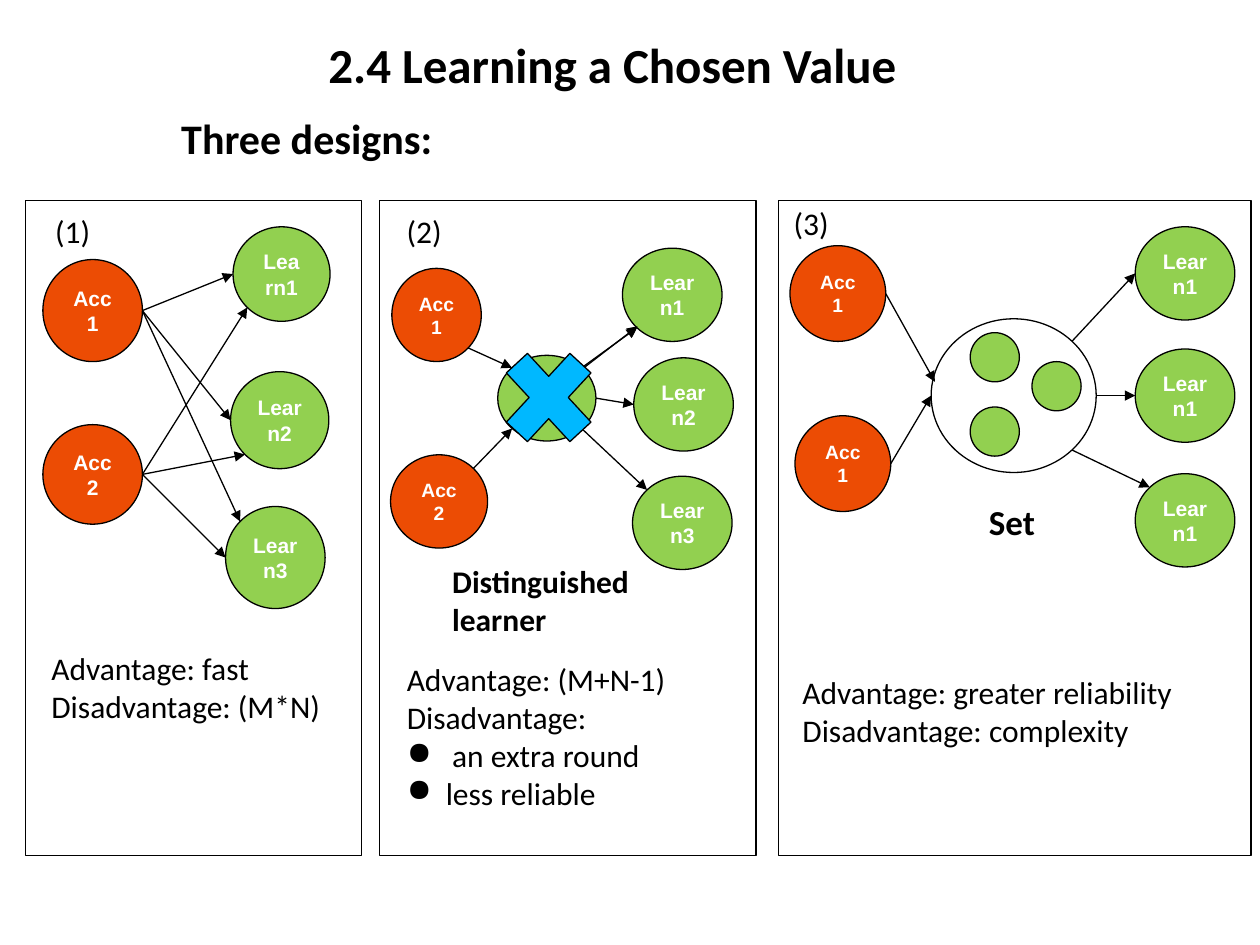
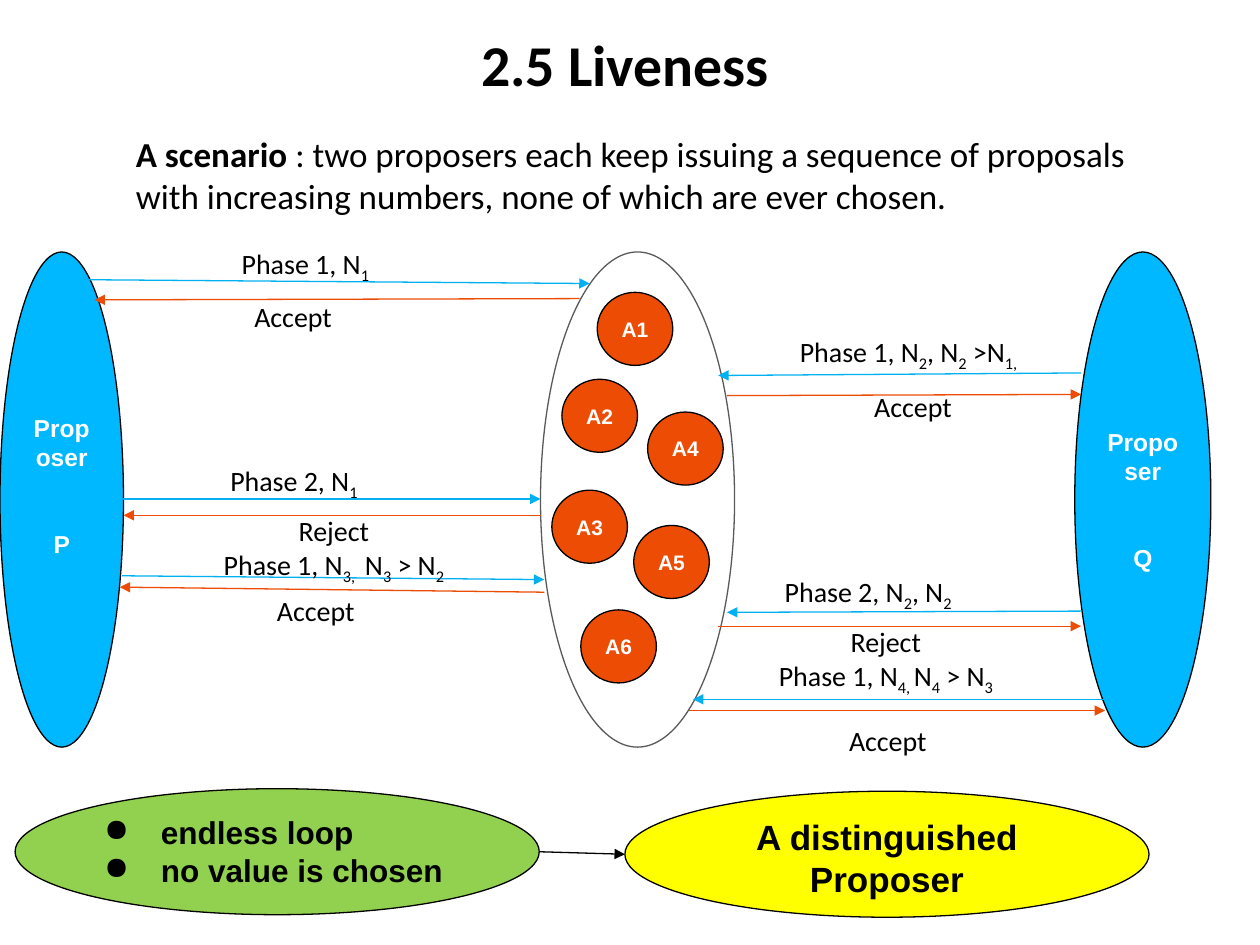
"""Build two slides on Paxos: learning a chosen value, and liveness."""
from lxml import etree
from pptx import Presentation
from pptx.dml.color import RGBColor
from pptx.enum import shapes, text
from pptx.oxml import ns
from pptx.util import Inches, Pt

COLORS = {"acceptor": "EC4C04", "learner": "92D050", "proposer": "00B8FF", "request": "00B0F0",
          "reply": "EC4C04", "remedy": "FFFF00", "ink": "000000", "white": "FFFFFF", "grey": "595959"}
BODY_FONT, NODE_FONT = "Calibri", "Arial"
LEFT, CENTER = text.PP_ALIGN.LEFT, text.PP_ALIGN.CENTER

LEARNING_TITLE = ("2.4 Learning a Chosen Value", 28, (2.2, 0.22, 5.32, 0.57))
PANEL_TOP, PANEL_HEIGHT = 1.59, 5.2
PANELS = [(0.2, 2.67), (3.01, 2.99), (6.18, 3.75)]
DESIGN_NODES = {
    "1 acc1": ("Acc 1", "acceptor", 12, (0.34, 2.06, 0.79, 0.81)),
    "1 acc2": ("Acc 2", "acceptor", 12, (0.34, 3.37, 0.79, 0.79)),
    "1 learn1": ("Learn1", "learner", 12, (1.85, 1.8, 0.77, 0.75)),
    "1 learn2": ("Learn2", "learner", 12, (1.83, 2.95, 0.78, 0.77)),
    "1 learn3": ("Learn3", "learner", 12, (1.79, 4.02, 0.79, 0.81)),
    "2 acc1": ("Acc1", "acceptor", 11, (3.11, 2.13, 0.71, 0.74)),
    "2 acc2": ("Acc2", "acceptor", 11, (3.1, 3.61, 0.77, 0.74)),
    "2 hub": ("", "learner", 12, (3.95, 2.82, 0.78, 0.68)),
    "2 learn1": ("Learn1", "learner", 12, (4.94, 1.97, 0.79, 0.74)),
    "2 learn2": ("Learn2", "learner", 12, (5.03, 2.84, 0.79, 0.74)),
    "2 learn3": ("Learn3", "learner", 12, (5.02, 3.78, 0.79, 0.74)),
    "3 acc1": ("Acc1", "acceptor", 11, (6.27, 1.95, 0.76, 0.76)),
    "3 acc2": ("Acc1", "acceptor", 11, (6.31, 3.3, 0.76, 0.76)),
    "3 learn1": ("Learn1", "learner", 12, (9.01, 1.8, 0.79, 0.74)),
    "3 learn2": ("Learn1", "learner", 12, (9.01, 2.77, 0.79, 0.74)),
    "3 learn3": ("Learn1", "learner", 12, (9.01, 3.76, 0.79, 0.74)),
    "3 set": ("", None, 12, (7.39, 2.53, 1.31, 1.22)),
    "3 member1": ("", "learner", 12, (7.7, 2.64, 0.39, 0.39)),
    "3 member2": ("", "learner", 12, (8.19, 2.87, 0.39, 0.39)),
    "3 member3": ("", "learner", 12, (7.7, 3.23, 0.39, 0.39)),
}
DESIGN_ARROWS = [
    ("1 acc1", "E", "1 learn1", "W"), ("1 acc1", "E", "1 learn2", "W"), ("1 acc1", "E", "1 learn3", "NW"),
    ("1 acc2", "E", "1 learn1", "SW"), ("1 acc2", "E", "1 learn2", "SW"), ("1 acc2", "E", "1 learn3", "W"),
    ("2 acc1", "SE", "2 hub", "NW"), ("2 acc2", "NE", "2 hub", "SW"), ("2 hub", "NE", "2 learn1", "SW"),
    ("2 hub", "E", "2 learn2", "W"), ("2 hub", "SE", "2 learn3", "NW"),
    ("3 acc2", "E", "3 set", "W"), ("3 set", "NE", "3 learn1", "W"),
    ("3 set", "E", "3 learn2", "W"), ("3 set", "SE", "3 learn3", "NW"),
]
LOOSE_ARROWS = [((4.62, 2.93), (5.06, 2.59)), ((7.03, 2.33), (7.42, 3.03))]
FAILURE_MARK = (3.87, 2.63, 0.97, 1.05)
DESIGN_NOTES = [
    (["Three designs:"], 24, True, (1.34, 0.84, 2.37, 0.46)),
    (["(1)"], 18, False, (0.34, 1.63, 0.73, 0.4)),
    (["(2)"], 18, False, (3.13, 1.63, 0.73, 0.4)),
    (["(3)"], 18, False, (6.2, 1.57, 0.73, 0.4)),
    (["Set"], 20, True, (7.75, 3.92, 0.82, 0.44)),
    (["Distinguished learner"], 18, True, (3.49, 4.41, 1.72, 0.71)),
    (["Advantage: fast", "Disadvantage: (M*N)"], 18, False, (0.31, 5.1, 2.44, 1.01)),
    (["Advantage: greater reliability", "Disadvantage: complexity"], 18, False, (6.27, 5.29, 3.39, 0.71)),
]
HUB_NOTES = ["Advantage: (M+N-1)", "Disadvantage:", "an extra round", "less reliable"]
HUB_NOTES_BOX = (3.13, 5.19, 2.82, 1.31)
HUB_BULLETS = {2: 0.36, 3: 0.31}

LIVENESS_TITLE = ("2.5 Liveness", 33, (2.91, 0.2, 4.1, 0.61))
SCENARIO = ("A scenario ", ": two proposers each keep issuing a sequence of proposals "
            "with increasing numbers, none of which are ever chosen.")
SCENARIO_BOX = (0.98, 1, 8.46, 0.77)
PROPOSERS = [("P", (0, 2, 0.98, 3.93), 0.27), ("Q", (8.53, 2, 1.08, 3.93), 0.05)]
ACCEPTOR_GROUP = (4.29, 2, 1.54, 3.93)
ACCEPTOR_SIZE = (0.6, 0.58)
ACCEPTORS = {"A1": (4.74, 2.32), "A2": (4.46, 3.01), "A3": (4.38, 3.89),
             "A4": (5.14, 3.27), "A5": (5.03, 4.17), "A6": (4.61, 4.84)}
EXCHANGES = [
    {"request": ((0.66, 2.22), (4.68, 2.25)), "reply": ((4.6, 2.37), (0.75, 2.38))},
    {"request": ((8.58, 2.96), (5.7, 2.98)), "reply": ((5.77, 3.14), (8.58, 3.13))},
    {"request": ((0.98, 3.96), (4.29, 3.96)), "reply": ((4.29, 4.09), (0.98, 4.09))},
    {"request": ((0.97, 4.57), (4.32, 4.6)), "reply": ((4.32, 4.7), (0.95, 4.66))},
    {"request": ((8.58, 4.85), (5.77, 4.86)), "reply": ((5.7, 4.97), (8.58, 4.97))},
    {"request": ((8.77, 5.55), (5.5, 5.55)), "reply": ((5.47, 5.64), (8.77, 5.64))},
]
MESSAGES = [
    (["Phase 1, N|1"], LEFT, (1.82, 1.91, 1.5, 0.37)),
    (["Accept"], LEFT, (1.92, 2.33, 1, 0.37)),
    (["Phase 1, N|2|, N|2| >N|1,"], LEFT, (6.25, 2.61, 2.1, 0.37)),
    (["Accept"], LEFT, (6.84, 3.04, 1, 0.37)),
    (["Phase 2, N|1"], LEFT, (1.73, 3.63, 1.5, 0.37)),
    (["Reject", "Phase 1, N|3, | N|3| > N|2"], CENTER, (1.43, 4.03, 2.44, 0.64)),
    (["Accept"], LEFT, (2.1, 4.66, 1, 0.37)),
    (["Phase 2, N|2|, N|2"], LEFT, (6.13, 4.51, 2.1, 0.37)),
    (["Reject", "Phase 1, N|4, |N|4| > N|3"], CENTER, (6.02, 4.91, 2.02, 0.64)),
    (["Accept"], LEFT, (6.64, 5.69, 1, 0.37)),
]
PROBLEMS = ["endless loop", "no value is chosen"]
PROBLEM_BOX = (0.12, 6.26, 4.16, 1)
REMEDY, REMEDY_BOX = "A distinguished Proposer", (4.96, 6.28, 4.16, 1)


def rgb(role):
    return RGBColor.from_string(COLORS[role])


def inches(box):
    return [Inches(length) for length in box]


def style(font, size, color="ink", bold=False, face=BODY_FONT):
    font.name, font.size, font.bold = face, Pt(size), bold
    font.color.rgb = rgb(color)


def write(frame, lines, size, align=LEFT, **look):
    frame.word_wrap = True
    frame.text = "\n".join(lines)
    for paragraph in frame.paragraphs:
        paragraph.alignment = align
        for run in paragraph.runs:
            style(run.font, size, **look)


def add_bullet(paragraph, indent):
    properties = paragraph._p.get_or_add_pPr()
    properties.set("marL", str(Inches(indent)))
    properties.set("indent", str(-Inches(indent)))
    etree.SubElement(properties, ns.qn("a:buChar")).set("char", "●")


def add_titled_slide(deck, title, size, box):
    slide = deck.slides.add_slide(deck.slide_layouts[5])
    heading = slide.shapes.title
    heading.left, heading.top, heading.width, heading.height = inches(box)
    write(heading.text_frame, [title], size, CENTER, bold=True)
    heading.text_frame.auto_size = text.MSO_AUTO_SIZE.NONE
    heading.text_frame.vertical_anchor = text.MSO_ANCHOR.MIDDLE
    return slide


def add_note(slide, lines, size, bold, box, align=LEFT):
    frame = slide.shapes.add_textbox(*inches(box)).text_frame
    write(frame, lines, size, align, bold=bold)
    return frame


def add_figure(slide, kind, box, fill=None, line="ink"):
    figure = slide.shapes.add_shape(kind, *inches(box))
    figure.shadow.inherit = False
    if fill:
        figure.fill.solid()
        figure.fill.fore_color.rgb = rgb(fill)
    else:
        figure.fill.background()
    figure.line.color.rgb = rgb(line)
    figure.line.width = Pt(0.75)
    return figure


def add_node(slide, lines, fill, size, box, color="white", align=CENTER, line="ink"):
    node = add_figure(slide, shapes.MSO_SHAPE.OVAL, box, fill, line)
    if any(lines):
        write(node.text_frame, lines, size, align, color=color, bold=True, face=NODE_FONT)
    return node.text_frame


def rim(box, compass):
    """Return the point of an ellipse that lies in a compass direction."""
    left, top, width, height = box
    reach = 0.5 if len(compass) == 1 else 0.5 * 0.5 ** 0.5
    across = ("E" in compass) - ("W" in compass)
    down = ("S" in compass) - ("N" in compass)
    return left + width * (0.5 + reach * across), top + height * (0.5 + reach * down)


def add_arrow(slide, start, end, color="ink"):
    arrow = slide.shapes.add_connector(shapes.MSO_CONNECTOR.STRAIGHT, *inches(start + end))
    arrow.line.color.rgb = rgb(color)
    arrow.line.width = Pt(0.75)
    etree.SubElement(arrow.line._get_or_add_ln(), ns.qn("a:tailEnd")).set("type", "triangle")
    etree.SubElement(arrow._element.spPr, ns.qn("a:effectLst"))


def build_learning(deck):
    slide = add_titled_slide(deck, *LEARNING_TITLE)
    for left, width in PANELS:
        add_figure(slide, shapes.MSO_SHAPE.RECTANGLE, (left, PANEL_TOP, width, PANEL_HEIGHT))
    for label, role, size, box in DESIGN_NODES.values():
        add_node(slide, [label], role, size, box)
    for source, leaving, target, entering in DESIGN_ARROWS:
        add_arrow(slide, rim(DESIGN_NODES[source][-1], leaving), rim(DESIGN_NODES[target][-1], entering))
    for start, end in LOOSE_ARROWS:
        add_arrow(slide, start, end)
    add_figure(slide, shapes.MSO_SHAPE.MATH_MULTIPLY, FAILURE_MARK, "proposer")
    for note in DESIGN_NOTES:
        add_note(slide, *note)
    hub_notes = add_note(slide, HUB_NOTES, 18, False, HUB_NOTES_BOX)
    for row, indent in HUB_BULLETS.items():
        add_bullet(hub_notes.paragraphs[row], indent)


def add_message(slide, lines, align, box):
    frame = add_note(slide, [""] * len(lines), 16, False, box, align)
    for paragraph, line in zip(frame.paragraphs, lines):
        for position, part in enumerate(line.split("|")):
            run = paragraph.add_run()
            run.text = part
            style(run.font, 16)
            if position % 2:
                run._r.get_or_add_rPr().set("baseline", "-25000")


def build_liveness(deck):
    slide = add_titled_slide(deck, *LIVENESS_TITLE)
    lead, rest = SCENARIO
    scenario = add_note(slide, [lead], 20, True, SCENARIO_BOX).paragraphs[0].add_run()
    scenario.text = rest
    style(scenario.font, 20)

    for letter, box, bottom in PROPOSERS:
        frame = add_node(slide, ["Proposer", letter], "proposer", 14, box)
        frame.paragraphs[1].space_before = Pt(33)
        frame.margin_bottom = Inches(bottom)
    for name, corner in ACCEPTORS.items():
        add_node(slide, [name], "acceptor", 12, corner + ACCEPTOR_SIZE)
    add_node(slide, [], None, 12, ACCEPTOR_GROUP, line="grey")

    for exchange in EXCHANGES:
        for color, (start, end) in exchange.items():
            add_arrow(slide, start, end, color)
    for message in MESSAGES:
        add_message(slide, *message)

    problems = add_node(slide, PROBLEMS, "learner", 18, PROBLEM_BOX, "ink", LEFT)
    for paragraph in problems.paragraphs:
        add_bullet(paragraph, 0.45)
    remedy = add_node(slide, [REMEDY], "remedy", 20, REMEDY_BOX, "ink")
    for frame in (problems, remedy):
        frame.vertical_anchor = text.MSO_ANCHOR.TOP
    add_arrow(slide, rim(PROBLEM_BOX, "E"), rim(REMEDY_BOX, "W"))


def main():
    deck = Presentation()
    deck.slide_width, deck.slide_height = Inches(10), Inches(7.5)
    build_learning(deck)
    build_liveness(deck)
    deck.save("out.pptx")


if __name__ == "__main__":
    main()
